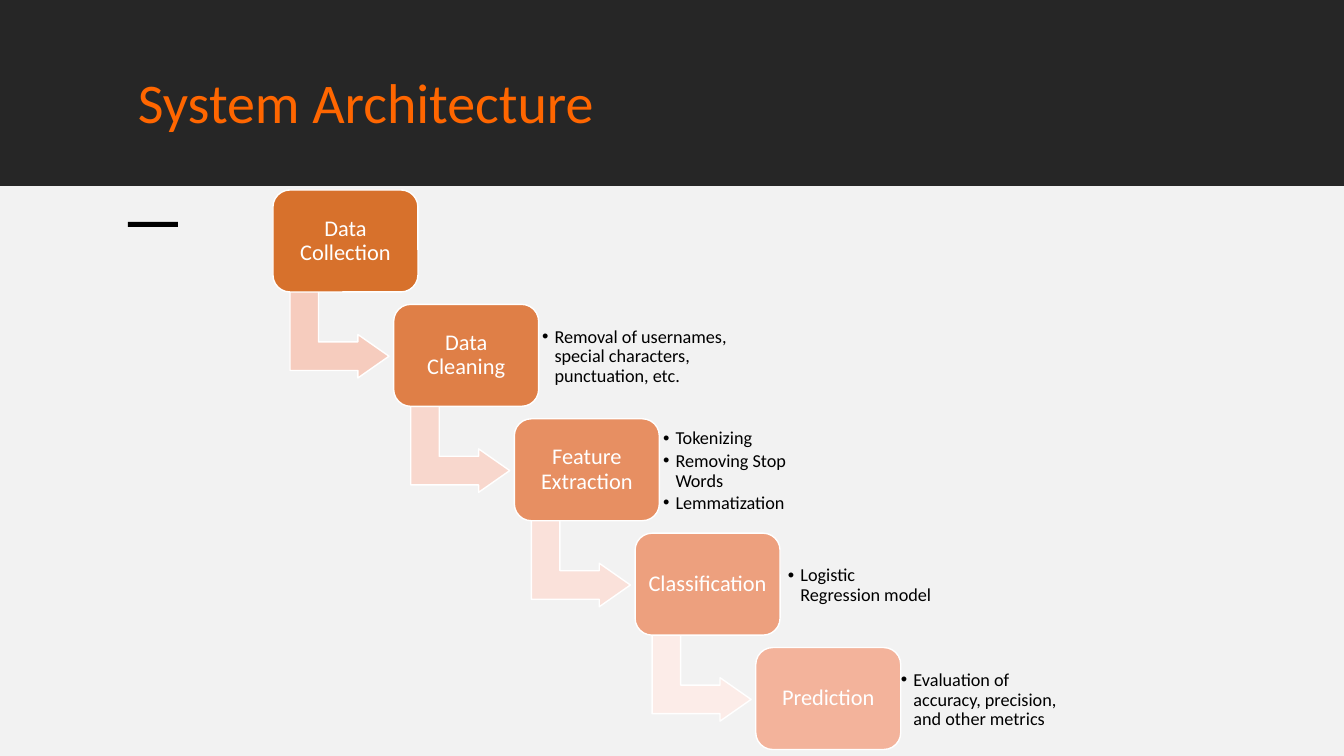
from lxml import etree
from pptx import Presentation
from pptx.dml.color import RGBColor
from pptx.enum import shapes, text
from pptx.oxml.ns import qn
from pptx.util import Emu, Pt

# Content: label, box colour, colour of the arrow to the next stage
STAGES = [
    ("Data Collection", "D7712C", "F6CCBE"),
    ("Data Cleaning", "DF7F47", "F8D7CD"),
    ("Feature Extraction", "E78F62", "FAE1DA"),
    ("Classification", "EDA07E", "FCECE8"),
    ("Prediction", "F3B39B", None),
]
# Stage number: left, width, inset, bullets
DETAILS = {
    1: (537, 208, 5, ["Removal of usernames, special characters, punctuation, etc."]),
    2: (658, 146, 5, ["Tokenizing", "Removing Stop Words", "Lemmatization"]),
    3: (783, 157, 5, ["Logistic Regression model"]),
    4: (894, 174, 7, ["Evaluation of accuracy, precision, and other metrics"]),
}
THEME = {
    "font": "Calibri", "title": 40, "label": 16, "bullet": 13,
    "orange": "FF6600", "dark": "262626", "light": "F2F2F2",
    "black": "000000", "white": "FFFFFF",
}

# Layout in pixels
WIDTH, HEIGHT, BAND = 1344, 756, 186
LEFT, TOP = 273, 190
STEP_X, STEP_Y = 120.7, 114.4
BOX_W, BOX_H = 145, 102
ARROW_W, ARROW_H = 87, 99


def px(value):
    return Emu(round(value * 914400 / 100.8))


def colour(name):
    return RGBColor.from_string(THEME.get(name, name))


def add_shape(kind, left, top, width, height, fill, outlined=False):
    shape = page.shapes.add_shape(kind, px(left), px(top), px(width), px(height))
    shape.shadow.inherit = False
    shape.fill.solid()
    shape.fill.fore_color.rgb = colour(fill)
    if outlined:
        shape.line.color.rgb = colour("white")
        shape.line.width = Pt(1)
    else:
        shape.line.fill.background()
    return shape


def add_text_box(left, top, width, height):
    return page.shapes.add_textbox(px(left), px(top), px(width), px(height))


def write(box, lines, size, ink, inset, anchor, align=text.PP_ALIGN.LEFT):
    frame = box.text_frame
    frame.text = "\n".join(lines)
    frame.word_wrap = True
    frame.vertical_anchor = anchor
    frame.margin_left = frame.margin_right = px(inset)
    frame.margin_top = frame.margin_bottom = px(5)
    for para in frame.paragraphs:
        para.alignment = align
        para.line_spacing = 0.9
        for span in para.runs:
            span.font.name = THEME["font"]
            span.font.size = Pt(THEME[size])
            span.font.color.rgb = colour(ink)


def add_bullets(box):
    for para in box.text_frame.paragraphs:
        para.space_after = Pt(2)
        props = para._p.get_or_add_pPr()
        props.set("marL", str(px(12.5)))
        props.set("indent", str(-px(12.5)))
        etree.SubElement(props, qn("a:buFont"), typeface="Arial")
        etree.SubElement(props, qn("a:buChar"), char="•")


deck = Presentation()
deck.slide_width, deck.slide_height = px(WIDTH), px(HEIGHT)
page = deck.slides.add_slide(deck.slide_layouts[6])
RECT = shapes.MSO_SHAPE.RECTANGLE
MIDDLE = text.MSO_ANCHOR.MIDDLE

# Title band, body background and accent dash
add_shape(RECT, 0, -1, WIDTH, BAND + 1, "dark")
title = add_text_box(128, 70, 1090, 99)
write(title, ["System Architecture"], "title", "orange", 10, text.MSO_ANCHOR.TOP)
add_shape(RECT, 0, BAND, WIDTH, HEIGHT - BAND, "light")
add_shape(RECT, 128, 222, 50, 5, "black")

# Staircase of stages
for number, (label, fill, arrow_fill) in enumerate(STAGES):
    left, top = LEFT + number * STEP_X, TOP + number * STEP_Y
    if arrow_fill:
        arrow = add_shape(shapes.MSO_SHAPE.BENT_UP_ARROW, left + 23, top + 95,
                          ARROW_W, ARROW_H, arrow_fill, outlined=True)
        arrow.rotation = 90
        for index, value in enumerate((0.328, 0.25, 0.358)):
            arrow.adjustments[index] = value
    box = add_shape(shapes.MSO_SHAPE.ROUNDED_RECTANGLE, left, top,
                    BOX_W, BOX_H, fill, outlined=True)
    # The rounded corners already inset the label, so its margin stays small
    write(box, [label], "label", "white", 5, MIDDLE, text.PP_ALIGN.CENTER)
    if number in DETAILS:
        detail_left, width, inset, bullets = DETAILS[number]
        detail = add_text_box(detail_left, top + 11, width, 83)
        write(detail, bullets, "bullet", "black", inset, MIDDLE)
        add_bullets(detail)

deck.save("out.pptx")
